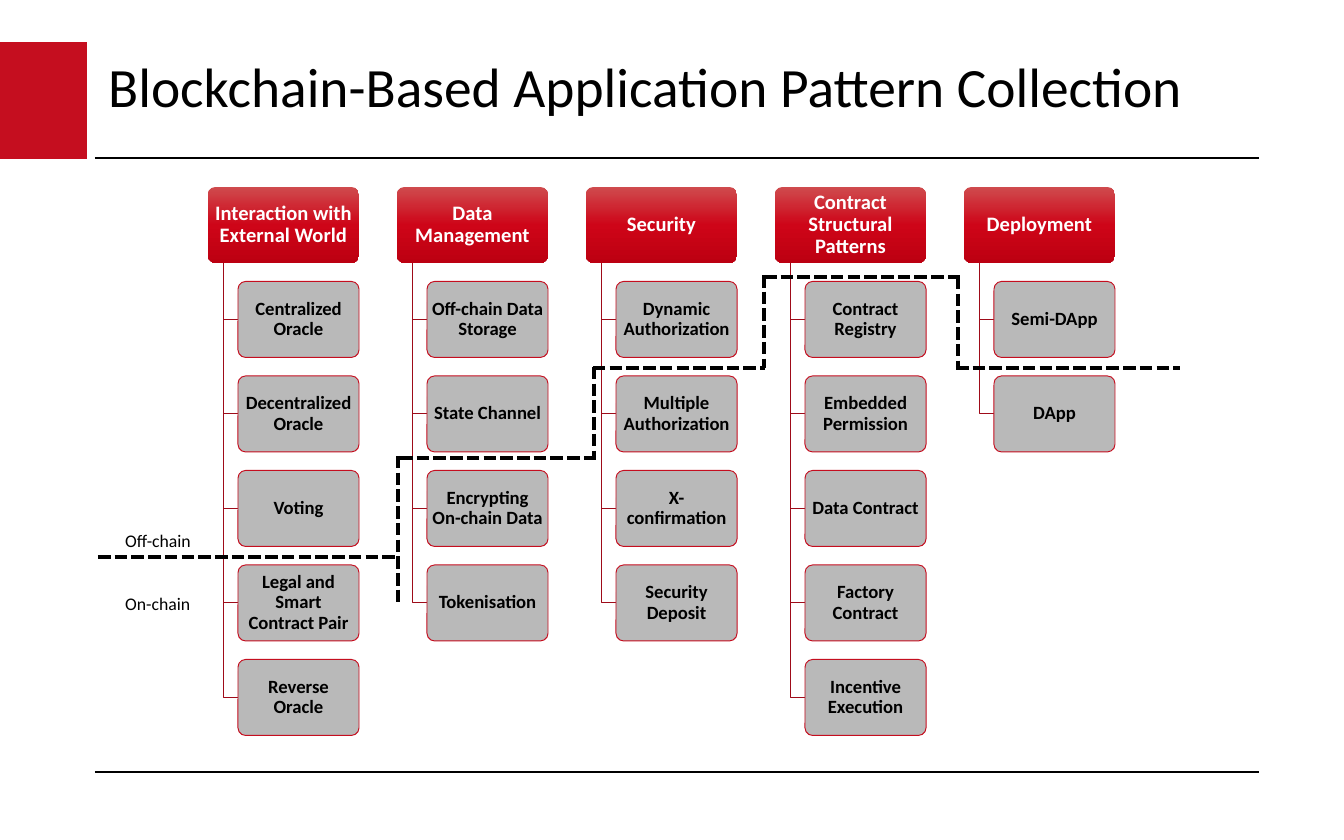
from copy import deepcopy

from pptx import Presentation
from pptx import util as u
from pptx.dml.color import RGBColor
from pptx.enum import dml, shapes, text
from pptx.oxml import ns, xmlchemy

PX = 914400 / 134.4
FONT = "Calibri"
COLORS = {
    "black": "000000", "white": "FFFFFF", "red": "C50E1F", "branch": "9E0B19",
    "gray": "B2B2B2", "top": "CF4B4E", "middle": "CE0518", "bottom": "BC0011",
}
PATTERNS = {
    "Interaction with External World": [
        "Centralized Oracle", "Decentralized Oracle", "Voting",
        "Legal and Smart Contract Pair", "Reverse Oracle"],
    "Data Management": [
        "Off-chain Data Storage", "State Channel",
        "Encrypting On-chain Data", "Tokenisation"],
    "Security": [
        "Dynamic Authorization", "Multiple Authorization",
        "X-confirmation", "Security Deposit"],
    "Contract Structural Patterns": [
        "Contract Registry", "Embedded Permission", "Data Contract",
        "Factory Contract", "Incentive Execution"],
    "Deployment": ["Semi-DApp", "DApp"],
}
RULES = [(95, 158, 1259, 158), (95, 772, 1259, 772)]
CHAIN_BOUNDARY = [
    (98, 557, 398, 557), (400, 458, 594, 458), (593, 368, 765, 368),
    (764, 277, 960, 277), (956, 368, 1180, 368),
    (398, 456, 398, 603), (594, 367, 594, 460),
    (764, 275, 764, 368), (958, 277, 958, 368),
]
LEFT, TOP, COLUMN_STEP, ROW_STEP = 208, 187, 189, 94.5
HEADER_WIDTH, BOX_HEIGHT, INDENT = 151, 76, 30


def px(*lengths):
    """Turn px lengths into EMU."""
    return [u.Emu(round(length * PX)) for length in lengths]


def rgb(name):
    """Look up a named colour."""
    return RGBColor.from_string(COLORS[name])


def write(shape, words, size, color="black", bold=False, align=text.PP_ALIGN.LEFT,
          anchor=text.MSO_ANCHOR.MIDDLE, spacing=0.9, insets=None):
    """Put one formatted paragraph in a shape."""
    frame = shape.text_frame
    frame.word_wrap = True
    frame.vertical_anchor = anchor
    if insets:
        frame.margin_left, frame.margin_top = px(*insets)
        frame.margin_right, frame.margin_bottom = px(*insets)
    frame.text = words
    paragraph = frame.paragraphs[0]
    paragraph.alignment = align
    paragraph.line_spacing = spacing
    font = paragraph.runs[0].font
    font.name, font.size, font.bold = FONT, u.Pt(size), bold
    font.color.rgb = rgb(color)


def add_label(slide, box, words, size, **style):
    """Add a plain text box."""
    write(slide.shapes.add_textbox(*px(*box)), words, size, **style)


def add_line(slide, ends, width, dash=None):
    """Add a straight black line, dashed if asked."""
    connector = slide.shapes.add_connector(shapes.MSO_CONNECTOR.STRAIGHT, *px(*ends))
    connector.line.color.rgb = rgb("black")
    connector.line.width = u.Pt(width)
    if dash:
        connector.line.dash_style = dash
    connector.element.spPr.append(xmlchemy.OxmlElement("a:effectLst"))


def add_block(slide, kind, box, fill):
    """Add a filled shape without outline or shadow."""
    shape = slide.shapes.add_shape(kind, *px(*box))
    shape.shadow.inherit = False
    shape.fill.solid()
    shape.fill.fore_color.rgb = rgb(fill)
    shape.line.fill.background()
    return shape


def add_card(slide, box, fill, words, size, **style):
    """Add a rounded box with bold centred text."""
    card = add_block(slide, shapes.MSO_SHAPE.ROUNDED_RECTANGLE, box, fill)
    card.adjustments[0] = 0.1
    write(card, words, size, bold=True, align=text.PP_ALIGN.CENTER, **style)
    return card


def add_header(slide, left, words):
    """Add a category header with a vertical red gradient."""
    box = (left, TOP, HEADER_WIDTH, BOX_HEIGHT)
    header = add_card(slide, box, "middle", words, 11, color="white", insets=(3, 3))
    header.fill.gradient()
    header.fill.gradient_angle = 270
    stop_list = header.element.spPr.find(".//" + ns.qn("a:gsLst"))
    stop_list.insert(1, deepcopy(stop_list[0]))
    names = ("top", "middle", "bottom")
    for index, (stop, name) in enumerate(zip(header.fill.gradient_stops, names)):
        stop.position = index / 2
        stop.color.rgb = rgb(name)


def add_pattern(slide, left, top, words):
    """Add a gray pattern box with translucent fill and red outline."""
    box = (left, top, HEADER_WIDTH - INDENT, BOX_HEIGHT)
    card = add_card(slide, box, "gray", words, 10, insets=(2, 2))
    card.line.color.rgb = rgb("red")
    card.line.width = u.Pt(0.5)
    alpha = xmlchemy.OxmlElement("a:alpha")
    alpha.set("val", "90000")
    card.element.spPr.find(ns.qn("a:solidFill"))[0].append(alpha)


def add_branch(slide, left, right, bottom):
    """Add an elbow from a header down to a pattern box."""
    builder = slide.shapes.build_freeform(*px(left, TOP + BOX_HEIGHT), scale=1.0)
    builder.add_line_segments([px(left, bottom), px(right, bottom)], close=False)
    branch = builder.convert_to_shape()
    branch.shadow.inherit = False
    branch.fill.background()
    branch.line.color.rgb = rgb("branch")
    branch.line.width = u.Pt(0.5)


def add_category(slide, column, category, patterns):
    """Add one column of the pattern hierarchy."""
    left = LEFT + column * COLUMN_STEP
    add_header(slide, left, category)
    for row, pattern in enumerate(patterns, start=1):
        top = TOP + row * ROW_STEP
        add_branch(slide, left + INDENT // 2, left + INDENT, top + BOX_HEIGHT // 2)
        add_pattern(slide, left + INDENT, top, pattern)


def main():
    """Build and save the slide."""
    presentation = Presentation()
    presentation.slide_width, presentation.slide_height = px(1344, 840)
    slide = presentation.slides.add_slide(presentation.slide_layouts[6])
    add_block(slide, shapes.MSO_SHAPE.RECTANGLE, (0, 42, 87, 117), "red")
    for ends in RULES:
        add_line(slide, ends, 0.75)
    add_label(slide, (95, 42, 1164, 95),
              "Blockchain-Based Application Pattern Collection", 29.7)
    for column, (category, patterns) in enumerate(PATTERNS.items()):
        add_category(slide, column, category, patterns)
    for ends in CHAIN_BOUNDARY:
        add_line(slide, ends, 2.25, dml.MSO_LINE.SQUARE_DOT)
    for words, top in (("Off-chain", 523), ("On-chain", 586)):
        add_label(slide, (112, top, 130, 35), words, 9.5,
                  anchor=text.MSO_ANCHOR.TOP, spacing=1.0)
    presentation.save("out.pptx")


if __name__ == "__main__":
    main()
